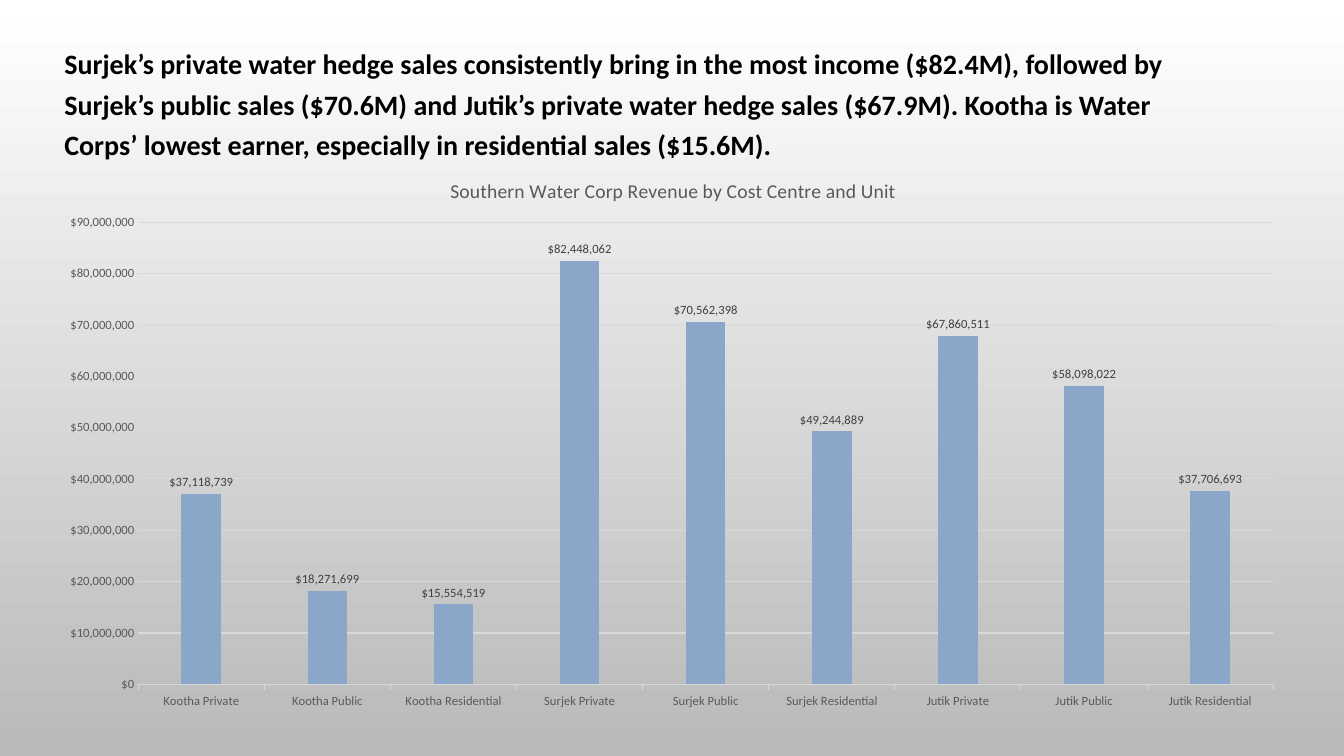
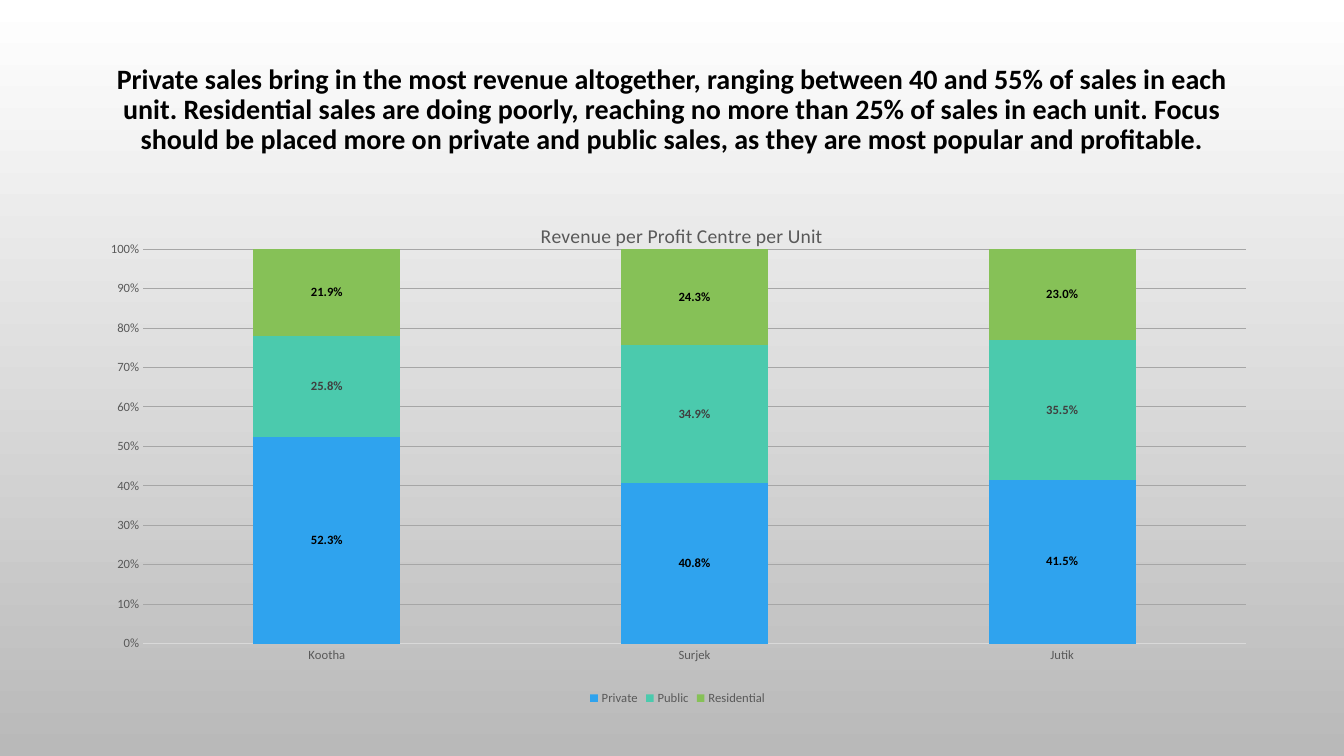
from lxml import etree
from pptx import Presentation
from pptx.chart.data import CategoryChartData as Data
from pptx.dml.color import RGBColor as RGB
from pptx.enum.chart import XL_CHART_TYPE as Kind
from pptx.enum.chart import XL_LABEL_POSITION as Spot
from pptx.enum.chart import XL_LEGEND_POSITION as Side
from pptx.enum.chart import XL_TICK_MARK as Tick
from pptx.enum.text import MSO_ANCHOR as Anchor
from pptx.enum.text import PP_ALIGN as Align
from pptx.oxml.ns import qn
from pptx.util import Inches, Pt

# Colours
WHITE = RGB(0xFF, 0xFF, 0xFF)
SILVER = RGB(0xB9, 0xB9, 0xB9)
BLACK = RGB(0x00, 0x00, 0x00)
DARK = RGB(0x40, 0x40, 0x40)
GREY = RGB(0x59, 0x59, 0x59)
PALE = RGB(0xD9, 0xD9, 0xD9)
MID = RGB(0xA6, 0xA6, 0xA6)
STEEL = RGB(0x8A, 0xA6, 0xC8)
BLUE = RGB(0x2F, 0xA3, 0xEE)
TEAL = RGB(0x4B, 0xCA, 0xAD)
GREEN = RGB(0x86, 0xC1, 0x57)

MONEY = '"$"#,##0'


def put(item, **values):
    """Set each named attribute on an item."""
    for name, value in values.items():
        setattr(item, name, value)


def place(part, index, **values):
    """Give a chart part a manual layout."""
    for old in part.findall(qn("c:layout")):
        part.remove(old)
    layout = etree.Element(qn("c:layout"))
    manual = etree.SubElement(layout, qn("c:manualLayout"))
    for name, value in values.items():
        etree.SubElement(manual, qn("c:" + name)).set("val", str(value))
    part.insert(index, layout)


class Deck:
    face = "Calibri"

    def __init__(self):
        self.prs = Presentation()
        put(self.prs, slide_width=Inches(13.33), slide_height=Inches(7.5))
        self.slide = None

    def font(self, font, size, color, bold=False):
        put(font, name=self.face, size=Pt(size), bold=bold)
        font.color.rgb = color

    def page(self):
        """Start a blank slide on the shared gradient."""
        self.slide = self.prs.slides.add_slide(self.prs.slide_layouts[6])
        fill = self.slide.background.fill
        fill.gradient()
        fill.gradient_angle = 270
        for stop, color, spot in zip(fill.gradient_stops, (WHITE, SILVER), (0, 1)):
            stop.color.rgb = color
            stop.position = spot

    def head(self, text, box, align, anchor, space):
        """Add the bold headline."""
        shape = self.slide.shapes.add_textbox(*map(Inches, box))
        frame = shape.text_frame
        put(frame, word_wrap=True, vertical_anchor=anchor)
        para = frame.paragraphs[0]
        put(para, text=text, alignment=align, line_spacing=space)
        self.font(para.runs[0].font, 20, BLACK, True)

    def chart(self, kind, box, cats, series, title, spot, plot, bars,
              form, axis, grid, tick, label):
        """Add a column chart; series holds (name, values, fill, label colour)."""
        data = Data(number_format=form)
        data.categories = cats
        for name, values, *_ in series:
            data.add_series(name, values)
        chart = self.slide.shapes.add_chart(
            kind, *map(Inches, box), data).chart
        self.font(chart.font, 10, BLACK)

        # Title and plot area
        chart.has_title = True
        para = chart.chart_title.text_frame.paragraphs[0]
        para.text = title
        self.font(para.runs[0].font, 14, GREY)
        place(chart.chart_title._element, 1, xMode="edge", yMode="edge",
              x=spot[0], y=spot[1])
        area = chart._chartSpace.find(".//" + qn("c:plotArea"))
        x, y, w, h = plot
        place(area, 0, layoutTarget="inner", xMode="edge", yMode="edge",
              x=x, y=y, w=w, h=h)

        # Axes
        cat, val = chart.category_axis, chart.value_axis
        for each, mark in ((cat, tick), (val, Tick.NONE)):
            put(each, major_tick_mark=mark, minor_tick_mark=Tick.NONE)
            self.font(each.tick_labels.font, 9, GREY)
        put(val.tick_labels, number_format=axis, number_format_is_linked=False)
        val.format.line.fill.background()
        val.has_major_gridlines = True
        for line, color in ((cat.format.line, PALE),
                            (val.major_gridlines.format.line, grid)):
            line.width = Pt(0.75)
            line.color.rgb = color

        # Columns and labels
        group = chart.plots[0]
        put(group, vary_by_categories=False, **bars)
        for row, (_, _, fill, ink) in zip(group.series, series):
            row.format.fill.solid()
            row.format.fill.fore_color.rgb = fill
            tags = row.data_labels
            put(tags, show_value=True, number_format=form,
                number_format_is_linked=False, position=label["position"])
            self.font(tags.font, 9, ink, label["bold"])

        # Legend
        chart.has_legend = len(series) > 1
        if chart.has_legend:
            put(chart.legend, position=Side.BOTTOM, include_in_layout=False)
            self.font(chart.legend.font, 9, GREY)


def main():
    deck = Deck()
    units = ("Kootha", "Surjek", "Jutik")
    types = ("Private", "Public", "Residential")

    # Revenue by cost centre and unit
    deck.page()
    deck.head(
        "Surjek’s private water hedge sales consistently bring in the most "
        "income ($82.4M), followed by Surjek’s public sales ($70.6M) and "
        "Jutik’s private water hedge sales ($67.9M). Kootha is Water Corps’ "
        "lowest earner, especially in residential sales ($15.6M).",
        (0.54, 0.35, 11.76, 1.3), Align.LEFT, Anchor.TOP, 1.2)
    sales = (37118739, 18271699, 15554519, 82448062, 70562398, 49244889,
             67860511, 58098022, 37706693)
    deck.chart(
        Kind.COLUMN_CLUSTERED, (0.45, 1.5, 12.44, 5.64),
        [f"{unit} {kind}" for unit in units for kind in types],
        [("Series 1", sales, STEEL, DARK)],
        "Southern Water Corp Revenue by Cost Centre and Unit",
        spot=(0.32, 0.04), plot=(0.074, 0.125, 0.905, 0.813),
        bars={"gap_width": 219, "overlap": -27},
        form=MONEY, axis=MONEY, grid=PALE, tick=Tick.OUTSIDE,
        label={"position": Spot.OUTSIDE_END, "bold": False})

    # Share of revenue per unit
    deck.page()
    deck.head(
        "Private sales bring in the most revenue altogether, ranging between "
        "40 and 55% of sales in each unit. Residential sales are doing "
        "poorly, reaching no more than 25% of sales in each unit. Focus "
        "should be placed more on private and public sales, as they are most "
        "popular and profitable.",
        (1, 0.22, 11.33, 1.75), Align.CENTER, Anchor.MIDDLE, 0.9)
    shares = ((0.523, 0.408, 0.415), (0.258, 0.349, 0.355),
              (0.219, 0.243, 0.23))
    deck.chart(
        Kind.COLUMN_STACKED_100, (0.92, 1.97, 11.6, 5.07), units,
        list(zip(types, shares, (BLUE, TEAL, GREEN), (BLACK, DARK, BLACK))),
        "Revenue per Profit Centre per Unit",
        spot=(0.38, 0.04), plot=(0.043, 0.099, 0.943, 0.772),
        bars={"gap_width": 150, "overlap": 100},
        form="0.0%", axis="0%", grid=MID, tick=Tick.NONE,
        label={"position": Spot.CENTER, "bold": True})

    deck.prs.save("out.pptx")


if __name__ == "__main__":
    main()
